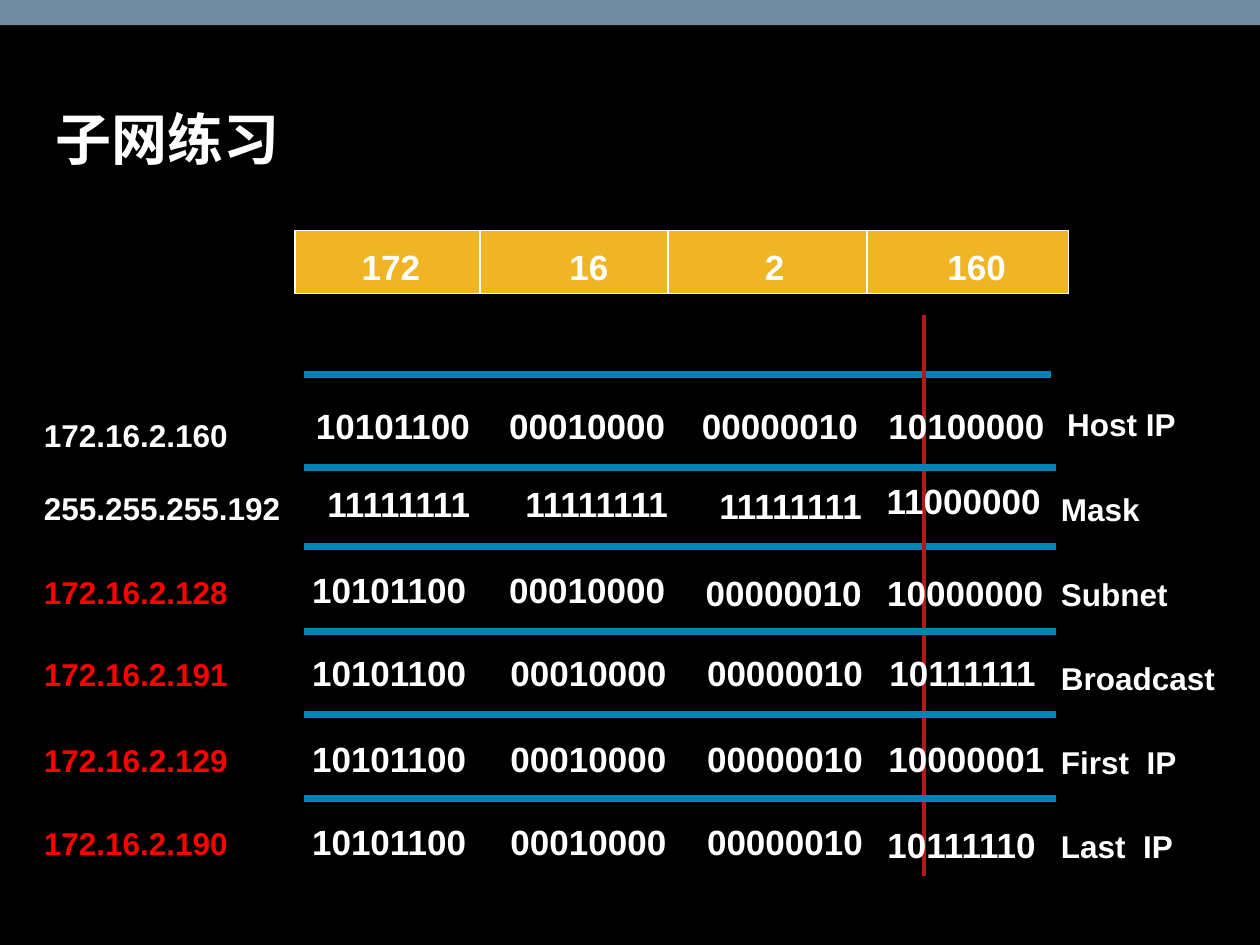
from lxml import etree
from pptx import Presentation
from pptx import util as u
from pptx.dml import color
from pptx.enum import shapes, text
from pptx.oxml import ns

COLUMNS, ROWS = 100, 75
COLORS = {
    "background": "000000", "bar": "708CA1", "rule": "0183B7", "divider": "B21A1A",
    "octet": "EFB525", "plain": "FFFFFF", "answer": "FF0000",
}
LEFT, CENTER, RIGHT = text.PP_ALIGN.LEFT, text.PP_ALIGN.CENTER, text.PP_ALIGN.RIGHT


class SubnetSlide:
    def __init__(self, presentation, font="Arial"):
        self.font = font
        self.column = presentation.slide_width / COLUMNS
        self.row = presentation.slide_height / ROWS
        self.slide = presentation.slides.add_slide(presentation.slide_layouts[5])
        fill = self.slide.background.fill
        fill.solid()
        fill.fore_color.rgb = self.rgb("background")

    def rgb(self, name):
        return color.RGBColor.from_string(COLORS[name])

    def place(self, left, top, width, height):
        return (round(left * self.column), round(top * self.row),
                round(width * self.column), round(height * self.row))

    def set_text(self, shape, words, size, tint="plain", align=LEFT, spacing=None,
                 anchor=text.MSO_ANCHOR.TOP, inset=(0.1, 0.05)):
        frame = shape.text_frame
        frame.text = words
        frame.word_wrap = False
        frame.auto_size = text.MSO_AUTO_SIZE.NONE
        frame.vertical_anchor = anchor
        frame.margin_left = frame.margin_right = u.Inches(inset[0])
        frame.margin_top = frame.margin_bottom = u.Inches(inset[1])
        paragraph = frame.paragraphs[0]
        paragraph.alignment = align
        if spacing:
            paragraph.line_spacing = u.Pt(spacing)
        font = paragraph.runs[0].font
        font.name, font.size, font.bold = self.font, u.Pt(size), True
        font.color.rgb = self.rgb(tint)

    def title(self, words, *box):
        shape = self.slide.shapes.title
        shape.left, shape.top, shape.width, shape.height = self.place(*box)
        self.set_text(shape, words, 32, align=CENTER)

    def label(self, words, *box, size=18, **style):
        shape = self.slide.shapes.add_textbox(*self.place(*box))
        self.set_text(shape, words, size, **style)

    def block(self, fill, *box, outline=None):
        shape = self.slide.shapes.add_shape(shapes.MSO_SHAPE.RECTANGLE, *self.place(*box))
        shape.shadow.inherit = False
        shape.fill.solid()
        shape.fill.fore_color.rgb = self.rgb(fill)
        if outline:
            shape.line.color.rgb = self.rgb(outline)
            shape.line.width = u.Pt(1)
        else:
            shape.line.fill.background()

    def line(self, tint, width, *ends):
        shape = self.slide.shapes.add_connector(
            shapes.MSO_CONNECTOR.STRAIGHT, *self.place(*ends))
        shape.line.color.rgb = self.rgb(tint)
        shape.line.width = u.Pt(width)
        etree.SubElement(shape._element.spPr, ns.qn("a:effectLst"))

    def rules(self, *ends):
        for right, top in ends:
            self.line("rule", 4, 24.1, top, right, top)


OCTETS = [("172", 23.4, 15.2, 28.5), ("16", 38.1, 16, 45),
          ("2", 53, 16, 60.5), ("160", 68.8, 16, 75)]

NETWORK = ("10101100", "00010000", "00000010")
LEVEL = (0, 0, 0, 0)
EDGES = (37.2, 53.1, 68.7)
ADDRESSES = [
    ("172.16.2.160", "plain", 32.5, "Host IP", 84.5, 30.5, (*NETWORK, "10100000"),
     32.2, LEVEL, (37.5, 53, 68.3, 83.1), 21.4),
    ("255.255.255.192", "plain", 38.3, "Mask", 84, 37.2, ("11111111",) * 3 + ("11000000",),
     38.5, (0, 0, 0.2, -0.2), (37.5, 53.2, 68.6, 82.8), 20.2),
    ("172.16.2.128", "answer", 45, "Subnet", 84, 44, (*NETWORK, "10000000"),
     44.9, (0, 0, 0.2, 0.2), (37.2, 53, 68.6, 83), 23.6),
    ("172.16.2.191", "answer", 51.5, "Broadcast", 84, 50.6, (*NETWORK, "10111111"),
     51.5, LEVEL, (*EDGES, 82.4), 23.6),
    ("172.16.2.129", "answer", 58.3, "First  IP", 84, 57.3, (*NETWORK, "10000001"),
     58.3, LEVEL, (*EDGES, 83.1), 23.6),
    ("172.16.2.190", "answer", 64.9, "Last  IP", 84, 64, (*NETWORK, "10111110"),
     64.9, (0, 0, 0, 0.2), (*EDGES, 82.4), 23.6),
]


def main():
    presentation = Presentation()
    presentation.slide_width, presentation.slide_height = u.Inches(10), u.Inches(7.5)
    page = SubnetSlide(presentation)
    tight = (0.02, 0.03)

    page.block("bar", 0, 0, COLUMNS, 2)
    page.title("子网练习", 3.3, 7.8, 20, 6.4)

    page.rules((83.8, 43.4), (83.4, 29.7))
    page.line("divider", 2.25, 73.3, 25, 73.3, 69.5)
    page.rules((83.8, 37.1), (83.8, 50.1), (83.8, 56.7), (83.8, 63.4))

    for (address, tint, address_top, name, name_left, name_top,
         octets, top, shifts, edges, spacing) in ADDRESSES:
        page.label(address, 2.5, address_top, 20.8, 4, tint=tint,
                   anchor=text.MSO_ANCHOR.MIDDLE)
        for octet, shift, edge in zip(octets, shifts, edges):
            page.label(octet, edge - 15, top + shift, 15, 5, size=20, align=RIGHT,
                       spacing=spacing, inset=tight)
        page.label(name, name_left, name_top, 13.1, 6.9, spacing=31.5, inset=tight)

    for octet, left, width, text_left in OCTETS:
        page.block("octet", left, 18.3, width, 5, outline="plain")
    for octet, left, width, text_left in OCTETS:
        page.label(octet, text_left, 19.2, 8, 5.8, size=20, spacing=23.6, inset=tight)

    presentation.save("out.pptx")


if __name__ == "__main__":
    main()
